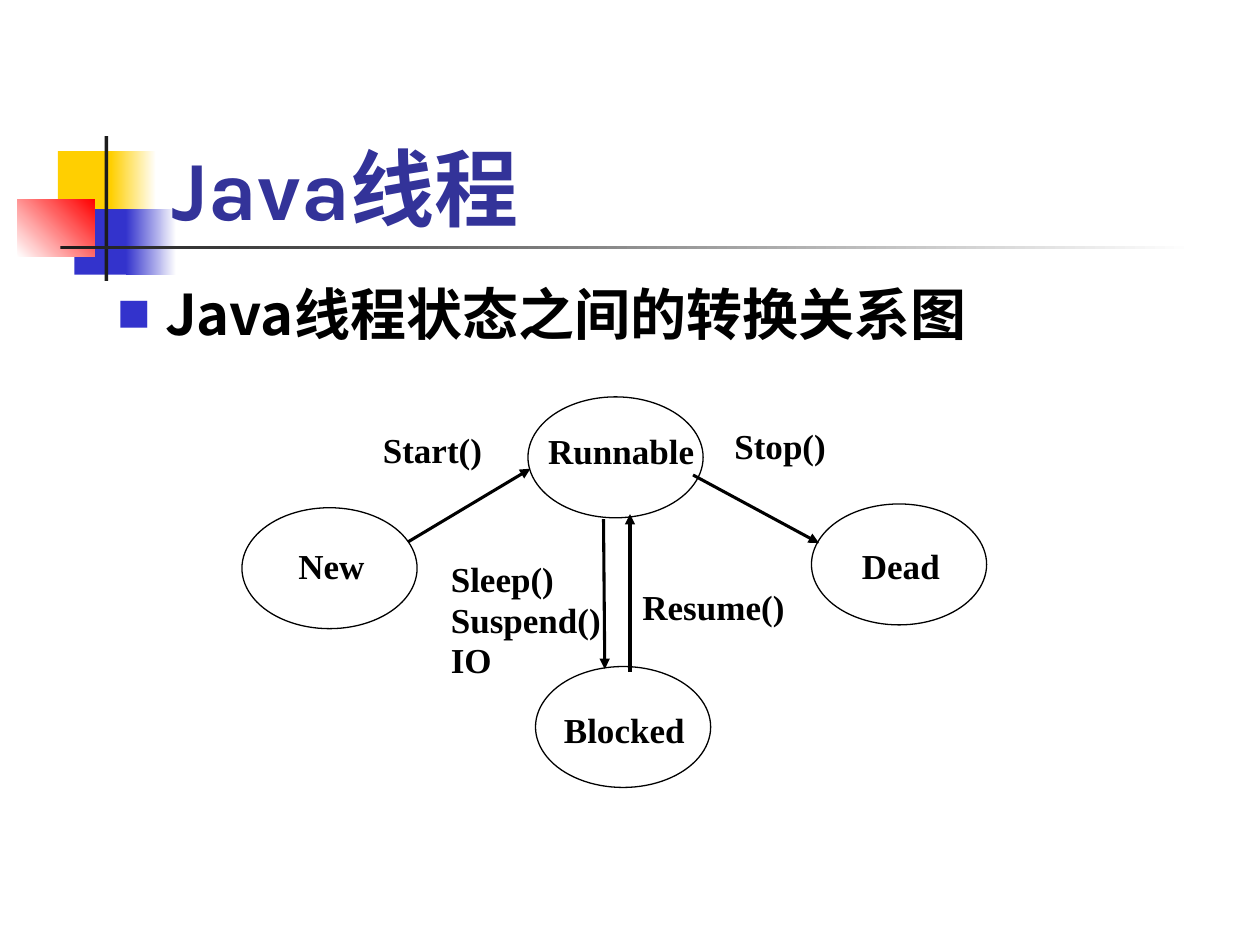
from typing import NamedTuple, Optional

from lxml.etree import SubElement
from pptx import Presentation
from pptx.dml.color import RGBColor
from pptx.enum.shapes import MSO_CONNECTOR, MSO_SHAPE
from pptx.enum.text import MSO_ANCHOR, MSO_AUTO_SIZE, PP_ALIGN
from pptx.oxml.ns import qn
from pptx.util import Inches, Pt

HUES = {
    "gold": "FFCF01", "blue": "3333CC", "red": "FF0000", "dark": "1C1C1C",
    "white": "FFFFFF", "black": "000000", "title": "333399",
}
SERIF, SANS, CJK = "Times New Roman", "Karla", "Noto Sans CJK SC"
JUST, MID = PP_ALIGN.JUSTIFY, PP_ALIGN.CENTER
OVAL = (1.39, 0.96)
TIGHT = (0.02, 0.01)
LOOSE = (0.1, 0.05)


class Block(NamedTuple):
    box: tuple
    hue: str
    fade: Optional[str] = None
    angle: int = 0


class Label(NamedTuple):
    box: tuple
    lines: tuple
    align: PP_ALIGN = JUST
    inset: tuple = LOOSE
    gap: float = 1.0


class State(NamedTuple):
    spot: tuple
    label: Label


class Arrow(NamedTuple):
    start: tuple
    end: tuple


BLOCKS = [
    Block((0.46, 1.2, 0.48, 0.52), "gold"),
    Block((0.88, 1.2, 0.36, 0.52), "gold", "white"),
    Block((0.59, 1.66, 0.46, 0.52), "blue"),
    Block((1, 1.66, 0.4, 0.52), "blue", "white"),
    Block((0.14, 1.58, 0.61, 0.46), "white", "red", 45),
    Block((0.83, 1.08, 0.03, 1.15), "dark"),
    Block((0.48, 1.95, 9, 0.03), "dark", "white"),
]
STATES = [
    State((4.19, 3.15), Label((4.33, 3.4, 1.25, 0.43), ("Runnable",), JUST, TIGHT)),
    State((4.25, 5.29), Label((4.42, 5.61, 1.07, 0.48), ("Blocked",), MID, TIGHT)),
    State((6.44, 4), Label((6.71, 4.31, 0.88, 0.61), ("Dead",), MID, TIGHT)),
    State((1.92, 4.03), Label((2.19, 4.31, 0.88, 0.61), ("New",), MID, TIGHT)),
]
CALLS = [
    Label((3.48, 4.4, 1.43, 1.16), ("Sleep()", "Suspend()", "IO"), gap=0.96),
    Label((2.94, 3.35, 1, 0.48), ("Start()",)),
    Label((5.73, 3.32, 1, 0.51), ("Stop()",)),
    Label((5, 4.62, 1.38, 0.71), ("Resume()",), gap=0.96),
]
ARROWS = [
    Arrow((3.24, 4.3), (4.21, 3.72)),
    Arrow((5.5, 3.77), (6.5, 4.31)),
    Arrow((4.79, 4.12), (4.8, 5.31)),
    Arrow((5, 5.33), (5, 4.08)),
]


def inches(vals: tuple) -> list:
    return [Inches(val) for val in vals]


def rgb(hue: str) -> RGBColor:
    return RGBColor.from_string(HUES[hue])


def add_run(para, text: str, size: int, face: str, hue: str):
    run = para.add_run()
    run.text = text
    run.font.size = Pt(size)
    run.font.bold = True
    run.font.color.rgb = rgb(hue)
    run.font.name = face
    return run


def draw_block(slide, block: Block) -> None:
    shape = slide.shapes.add_shape(MSO_SHAPE.RECTANGLE, *inches(block.box))
    shape.shadow.inherit = False
    shape.line.fill.background()
    if block.fade is None:
        shape.fill.solid()
        shape.fill.fore_color.rgb = rgb(block.hue)
        return
    shape.fill.gradient()
    shape.fill.gradient_angle = block.angle
    for stop, hue, pos in zip(shape.fill.gradient_stops, (block.hue, block.fade), (0, 1)):
        stop.color.rgb = rgb(hue)
        stop.position = pos


def draw_label(slide, label: Label) -> None:
    frame = slide.shapes.add_textbox(*inches(label.box)).text_frame
    frame.word_wrap = True
    frame.margin_left = frame.margin_right = Inches(label.inset[0])
    frame.margin_top = frame.margin_bottom = Inches(label.inset[1])
    for num, line in enumerate(label.lines):
        para = frame.add_paragraph() if num else frame.paragraphs[0]
        para.alignment = label.align
        para.line_spacing = label.gap
        add_run(para, line, 20, SERIF, "black")


def draw_state(slide, state: State) -> None:
    shape = slide.shapes.add_shape(MSO_SHAPE.OVAL, *inches(state.spot + OVAL))
    shape.shadow.inherit = False
    shape.fill.solid()
    shape.fill.fore_color.rgb = rgb("white")
    shape.line.color.rgb = rgb("black")
    shape.line.width = Pt(0.75)
    draw_label(slide, state.label)


def draw_arrow(slide, arrow: Arrow) -> None:
    link = slide.shapes.add_connector(
        MSO_CONNECTOR.STRAIGHT, *inches(arrow.start + arrow.end))
    link.line.color.rgb = rgb("black")
    link.line.width = Pt(1.75)
    SubElement(link.line._get_or_add_ln(), qn("a:tailEnd"), type="triangle")
    SubElement(link._element.spPr, qn("a:effectLst"))


def set_holder(slide, shape, box: tuple, anchor: MSO_ANCHOR):
    """Place a placeholder in front of what is drawn; return its first paragraph."""
    slide.shapes._spTree.append(shape._element)
    shape.left, shape.top, shape.width, shape.height = inches(box)
    frame = shape.text_frame
    frame.word_wrap = True
    frame.auto_size = MSO_AUTO_SIZE.NONE
    frame.vertical_anchor = anchor
    para = frame.paragraphs[0]
    para.alignment = PP_ALIGN.LEFT
    para.space_before = Pt(0)
    return para


def add_bullet(para) -> None:
    props = para._p.get_or_add_pPr()
    props.set("marL", str(Inches(0.38)))
    props.set("indent", str(Inches(-0.38)))
    tint = SubElement(props, qn("a:buClr"))
    SubElement(tint, qn("a:srgbClr"), val=HUES["blue"])
    SubElement(props, qn("a:buSzPct"), val="60000")
    SubElement(props, qn("a:buFont"), typeface=CJK)
    SubElement(props, qn("a:buChar"), char="■")


def add_head(para, text: str, size: int, face: str, hue: str) -> None:
    """Add a run whose Chinese glyphs have a font of their own."""
    run = add_run(para, text, size, face, hue)
    SubElement(run.font._element, qn("a:ea"), typeface=CJK)


def main() -> None:
    deck = Presentation()
    deck.slide_width, deck.slide_height = inches((10, 7.5))
    slide = deck.slides.add_slide(deck.slide_layouts[1])
    title, body = slide.placeholders
    for block in BLOCKS:
        draw_block(slide, block)

    para = set_holder(slide, title, (1.26, 0.68, 8.52, 1.25), MSO_ANCHOR.BOTTOM)
    add_head(para, "Java线程", 48, SANS, "title")
    para = set_holder(slide, body, (0.83, 2.17, 8.5, 4.5), MSO_ANCHOR.TOP)
    add_bullet(para)
    add_head(para, "Java线程状态之间的转换关系图", 32, CJK, "black")

    for state in STATES:
        draw_state(slide, state)
    for call in CALLS:
        draw_label(slide, call)
    for arrow in ARROWS:
        draw_arrow(slide, arrow)
    deck.save("out.pptx")


if __name__ == "__main__":
    main()
